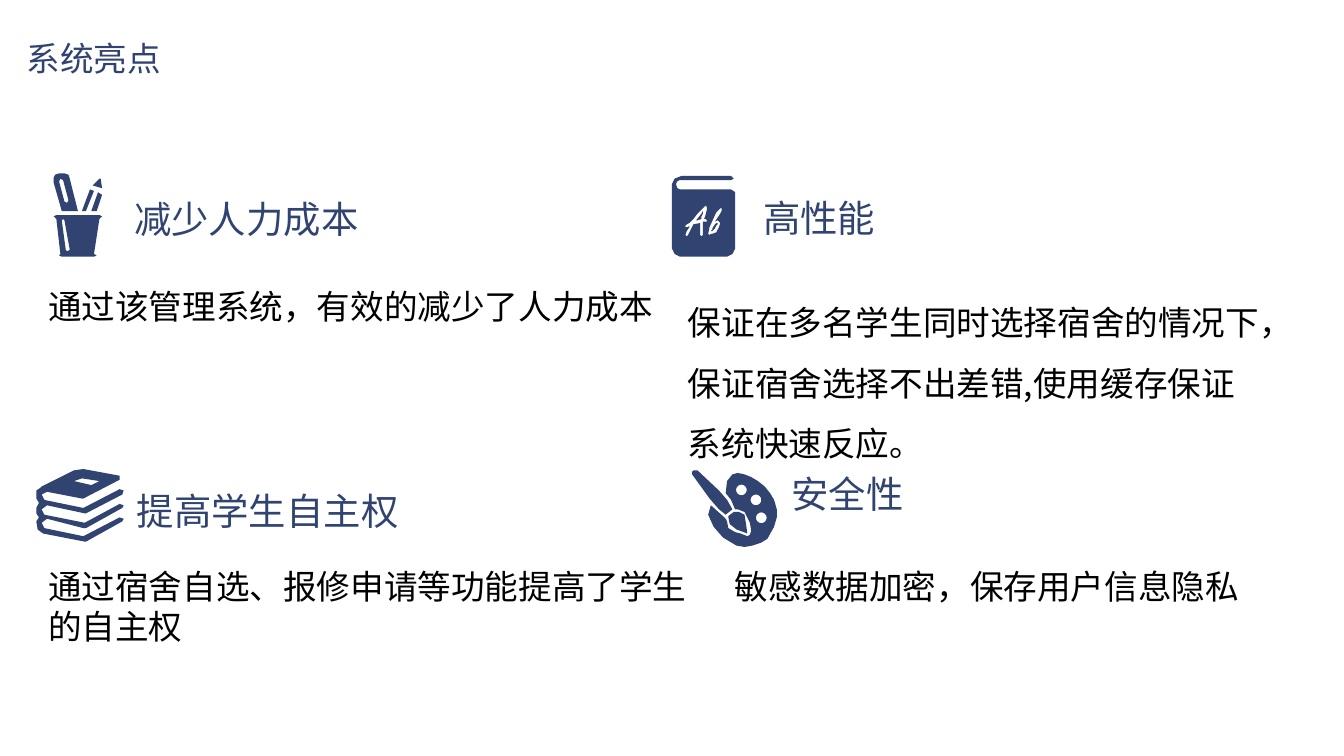
from math import cos, pi, sin

from lxml import etree
from pptx import Presentation
from pptx import util as u
from pptx.dml.color import RGBColor
from pptx.enum import text
from pptx.oxml import ns

COLORS = {"navy": "304371", "body": "000000", "background": "FFFFFF"}
FONT = "Noto Sans CJK SC"
COLUMNS, ROWS = 100, 56.25
CELL = u.Inches(0.1)
ICON_UNIT = u.Inches(0.01)

PEN_CUP = [
    "34 15,37 17,33 29,29 29",
    "36 5,35 5,30 10,37 12",
    "25 29,31 14,28 13,22 29",
    "1 8,1 4,2 2,5 1,9 1,12 2,13 5,19 29,7 29",
    "5 7,9 22,11 23,12 21,8 6,6 5",
    "35 32,3 32,1 33,3 35,6 61,5 62,7 63,31 63,33 62,31 61,35 35,37 33",
    "11 59,10 58,7 36,8 35,9 36,13 58",
]
BOOK_STACK = [
    "36 44,38 44,65 29,66 27,63 26,37 40,7 34,5 30,9 27,37 33,38 33,65 19,"
    "66 16,63 15,36 29,7 23,5 19,9 17,35 22,36 22,63 8,63 5,36 0,29 1,5 13,"
    "4 14,1 16,1 19,1 22,3 25,1 29,1 33,3 36,1 39,2 45,6 48,37 54,38 54,65 39,"
    "66 37,63 36,36 50,7 44,5 40,9 37",
    "35 7,48 9,42 12,29 9",
]
DICTIONARY = [
    "47 54,45 58,41 60,6 60,2 58,0 54,0 6,2 2,7 0,44 0,46 2,44 3,6 3,4 4,"
    "3 6,4 9,6 10,44 10,47 12",
    "24 32,25 29,26 25,26 23,25 22,23 24,19 28,16 32,14 34,13 35,11 36,10 37,"
    "10 38,12 38,13 37,13 38,11 41,10 44,11 45,12 44,13 42,16 36,21 35,21 37,"
    "21 43,21 44,22 45,23 44,23 39,23 34,25 34,26 34,26 33,25 32",
    "23 26,23 28,22 30,22 32,19 33,18 33,22 28",
    "37 25,37 24,36 24,35 25,33 27,28 38,27 43,28 44,29 43,30 43,33 42,35 38,"
    "36 35,35 34,34 33,32 34,36 28,37 26",
    "30 39,30 40,29 41,30 41,32 39,33 37,34 36,34 35,33 35,32 36",
]
PALETTE = [
    "63 30,61 23,58 18,54 13,49 9,44 6,39 4,34 3,30 4,26 9,25 18,29 23,32 30,"
    "34 30,39 32,43 40,44 46,43 49,41 50,36 48,32 47,27 44,26 39,25 37,24 36,"
    "14 27,12 34,16 43,23 51,33 57,39 58,45 57,51 55,56 52,61 43,63 36",
    "0 4,0 2,1 1,3 1,4 1,20 16,26 23,30 30,25 34,20 30,13 22",
    "27 36,27 35,31 32,35 32,39 34,40 40,41 47,41 48,33 45,28 41",
]
PAINT_WELLS = [(36.7, 15.6), (47.5, 23), (51.5, 36.3)]
WELL_RADIUS = 4

HIGHLIGHTS = [
    dict(box=(2.6, 12.8), icon=PEN_CUP, icon_at=(1.3, 0),
         heading="减少人力成本", heading_box=(6.4, 1.3, 18.8, 4.4),
         detail="通过该管理系统，有效的减少了人力成本",
         detail_box=(0, 8, 47.1, 4)),
    dict(box=(50, 13.1), icon=DICTIONARY, icon_at=(0, 0),
         heading="高性能", heading_box=(5.8, 0.9, 10.4, 4.4),
         detail="保证在多名学生同时选择宿舍的情况下，保证宿舍选择不出差错,"
                "使用缓存保证系统快速反应。",
         detail_box=(0.2, 7.4, 45.1, 14.1), spacing=1.5),
    dict(box=(2.6, 34.9), icon=BOOK_STACK, icon_at=(0, 0),
         heading="提高学生自主权", heading_box=(6.6, 0.9, 21.7, 4.4),
         detail="通过宿舍自选、报修申请等功能提高了学生的自主权",
         detail_box=(0, 6.7, 51.1, 7.1)),
    dict(box=(51.5, 34.9), icon=PALETTE, icon_at=(0, 0), wells=PAINT_WELLS,
         heading="安全性", heading_box=(6.4, -0.3, 10.4, 4.4),
         detail="敏感数据加密，保存用户信息隐私",
         detail_box=(2.2, 6.7, 44.4, 4)),
]


def cells(*lengths):
    """Turn grid cells into slide lengths."""
    return [u.Emu(round(length * CELL)) for length in lengths]


def add_words(slide, box, words, size, color, wrap=True, spacing=None):
    """Place one run of text in a box of grid cells."""
    frame = slide.shapes.add_textbox(*cells(*box)).text_frame
    frame.word_wrap = wrap
    frame.auto_size = text.MSO_AUTO_SIZE.SHAPE_TO_FIT_TEXT
    paragraph = frame.paragraphs[0]
    if spacing:
        paragraph.line_spacing = spacing
    run = paragraph.add_run()
    run.text = words
    run.font.size = u.Pt(size)
    run.font.name = FONT
    run.font.color.rgb = RGBColor.from_string(COLORS[color])
    east_asian = etree.SubElement(run.font._element, ns.qn("a:ea"))
    east_asian.set("typeface", FONT)


def circle(center_x, center_y, radius, sides=16):
    """Return the corners of a many-sided ring."""
    angles = [2 * pi * side / sides for side in range(sides)]
    return [(center_x + radius * cos(a), center_y + radius * sin(a)) for a in angles]


def add_icon(slide, left, top, outlines, wells=()):
    """Draw the outlines as one filled icon at a grid position."""
    contours = [[tuple(map(int, corner.split())) for corner in outline.split(",")]
                for outline in outlines]
    contours += [circle(x, y, WELL_RADIUS) for x, y in wells]
    origin_x, origin_y = cells(left, top)
    placed = [[(round(origin_x + x * ICON_UNIT), round(origin_y + y * ICON_UNIT))
               for x, y in contour] for contour in contours]
    builder = slide.shapes.build_freeform(*placed[0][0])
    builder.add_line_segments(placed[0][1:], close=True)
    for contour in placed[1:]:
        builder.move_to(*contour[0])
        builder.add_line_segments(contour[1:], close=True)
    icon = builder.convert_to_shape()
    icon.shadow.inherit = False
    icon.fill.solid()
    icon.fill.fore_color.rgb = RGBColor.from_string(COLORS["navy"])
    icon.line.fill.background()


def add_highlight(slide, box, icon, icon_at, heading, heading_box, detail,
                  detail_box, wells=(), spacing=None):
    """Place one highlight: icon, heading and detail."""
    left, top = box

    def inside(x, y, *size):
        """Shift a position into the highlight's box."""
        return (left + x, top + y, *size)

    add_icon(slide, *inside(*icon_at), icon, wells)
    add_words(slide, inside(*heading_box), heading, 20, "navy", wrap=False)
    add_words(slide, inside(*detail_box), detail, 18, "body", spacing=spacing)


def main():
    """Build and save the slide of system highlights."""
    deck = Presentation()
    deck.slide_width, deck.slide_height = cells(COLUMNS, ROWS)
    slide = deck.slides.add_slide(deck.slide_layouts[6])
    slide.background.fill.solid()
    slide.background.fill.fore_color.rgb = RGBColor.from_string(COLORS["background"])
    add_words(slide, (1, 2.3, 12.1, 4), "系统亮点", 18, "navy", wrap=False)
    for highlight in HIGHLIGHTS:
        add_highlight(slide, **highlight)
    deck.save("out.pptx")


if __name__ == "__main__":
    main()
